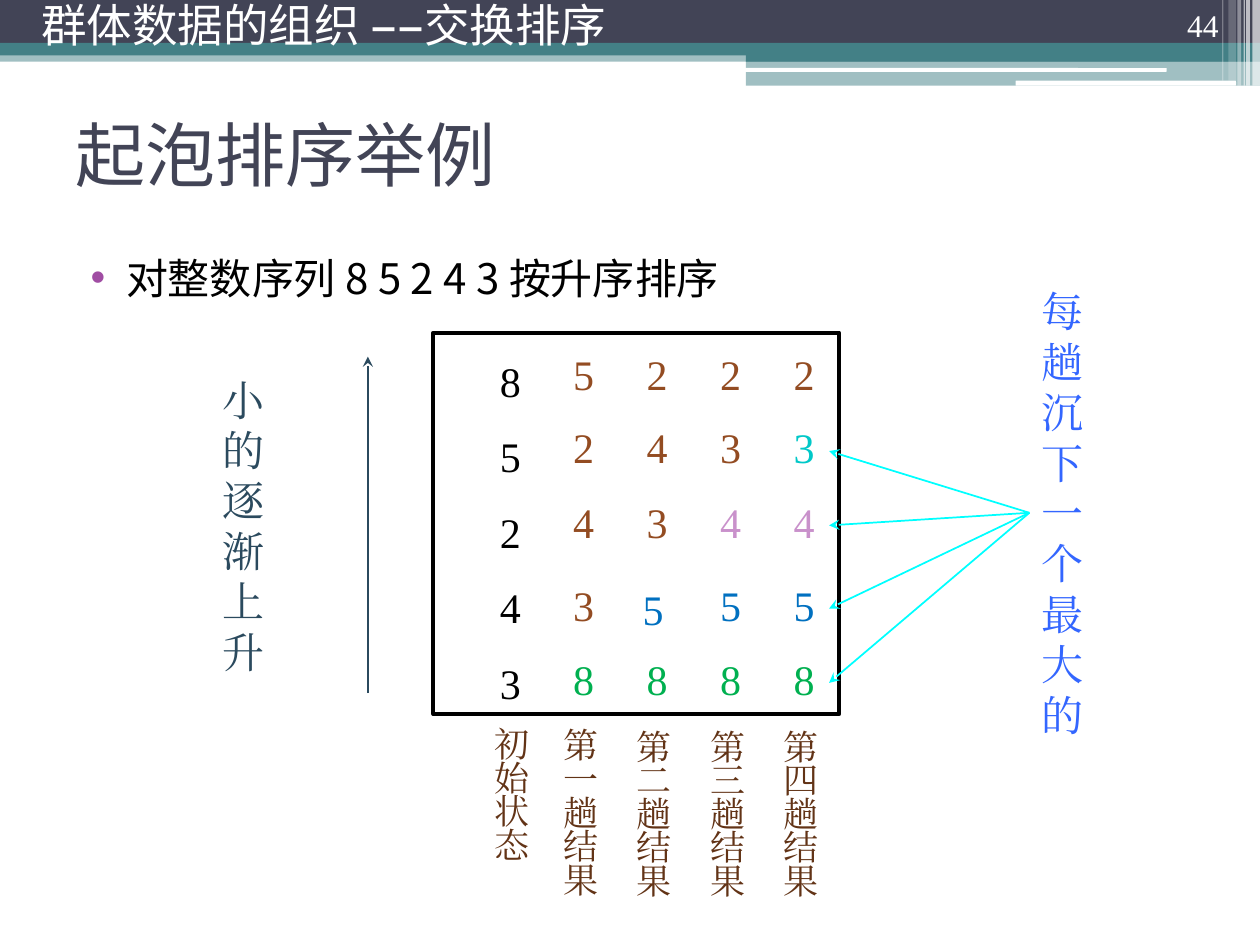
from lxml.etree import SubElement
from pptx import Presentation
from pptx.dml.color import RGBColor
from pptx.enum.shapes import MSO_CONNECTOR, MSO_SHAPE
from pptx.enum.text import MSO_ANCHOR, MSO_AUTO_SIZE, PP_ALIGN
from pptx.oxml.ns import qn
from pptx.util import Inches, Pt

SERIF = "Times New Roman"
SANS = "Noto Sans CJK SC"
DARK = "424456"
TEAL = "438086"
WHITE = "FFFFFF"
BLACK = "000000"
BROWN = "934C22"
UMBER = "623316"
SLATE = "2B4A5E"
CYAN = "00FFFF"


def color(value):
    return RGBColor.from_string(value)


def write(para, text, size=24, font=SERIF, fill=BLACK, align=PP_ALIGN.LEFT, spacing=1.0):
    para.alignment = align
    para.line_spacing = spacing
    para.space_before = Pt(0)
    span = para.add_run()
    span.text = text
    span.font.size = Pt(size)
    span.font.name = font
    span.font.color.rgb = color(fill)
    east = SubElement(span.font._element, qn("a:ea"))
    east.set("typeface", font)


class SortingSlide:
    def __init__(self, deck):
        self.page = deck.slides.add_slide(deck.slide_layouts[1])

    def place(self, shape, left, top, width, height):
        shape.left, shape.top = Inches(left), Inches(top)
        shape.width, shape.height = Inches(width), Inches(height)

    def band(self, left, top, width, height, fill, opacity=100, rounded=False):
        kind = MSO_SHAPE.ROUNDED_RECTANGLE if rounded else MSO_SHAPE.RECTANGLE
        shape = self.page.shapes.add_shape(
            kind, Inches(left), Inches(top), Inches(width), Inches(height))
        shape.shadow.inherit = False
        shape.line.fill.background()
        shape.fill.solid()
        shape.fill.fore_color.rgb = color(fill)
        if opacity < 100:
            tint = shape.fill._xPr.find(".//" + qn("a:srgbClr"))
            SubElement(tint, qn("a:alpha")).set("val", str(opacity * 1000))

    def frame(self, left, top, width, height):
        shape = self.page.shapes.add_shape(
            MSO_SHAPE.RECTANGLE, Inches(left), Inches(top), Inches(width), Inches(height))
        shape.shadow.inherit = False
        shape.fill.background()
        shape.line.color.rgb = color(BLACK)
        shape.line.width = Pt(2.25)

    def title(self, text):
        shape = self.page.shapes.title
        self.place(shape, 0.5, 0.63, 9, 1.17)
        shape.text_frame.vertical_anchor = MSO_ANCHOR.MIDDLE
        shape.text_frame.auto_size = MSO_AUTO_SIZE.NONE
        write(shape.text_frame.paragraphs[0], text, size=40, font=SANS, fill=DARK)

    def bullet(self, text):
        shape = self.page.placeholders[1]
        self.place(shape, 0.5, 1.95, 9, 5.24)
        shape.text_frame.auto_size = MSO_AUTO_SIZE.NONE
        para = shape.text_frame.paragraphs[0]
        props = para._p.get_or_add_pPr()
        props.set("marL", str(Inches(0.4)))
        props.set("indent", str(Inches(-0.28)))
        tint = SubElement(props, qn("a:buClr"))
        SubElement(tint, qn("a:srgbClr")).set("val", "A04DA3")
        SubElement(props, qn("a:buFont")).set("typeface", "Arial")
        SubElement(props, qn("a:buChar")).set("char", "•")
        write(para, text, font=SANS)
        para.space_after = Pt(12)

    def text(self, left, top, width, height, *lines, wrap=True, grow=True,
             anchor=MSO_ANCHOR.TOP, **style):
        box = self.page.shapes.add_textbox(
            Inches(left), Inches(top), Inches(width), Inches(height))
        frame = box.text_frame
        frame.word_wrap = wrap
        frame.auto_size = MSO_AUTO_SIZE.SHAPE_TO_FIT_TEXT if grow else MSO_AUTO_SIZE.NONE
        frame.vertical_anchor = anchor
        for index, line in enumerate(lines):
            para = frame.add_paragraph() if index else frame.paragraphs[0]
            write(para, line, **style)
        return box

    def arrow(self, start, end, stroke, head="headEnd", target=None):
        line = self.page.shapes.add_connector(
            MSO_CONNECTOR.STRAIGHT, *(Inches(value) for value in start + end))
        line.line.color.rgb = color(stroke)
        line.line.width = Pt(1)
        SubElement(line.line._get_or_add_ln(), qn("a:" + head)).set("type", "stealth")
        SubElement(line._element.spPr, qn("a:effectLst"))
        if target is not None:
            line.end_connect(target, 1)


def draw_theme(slide):
    slide.band(0, 0.4, 10, 0.09, TEAL, 50)
    slide.band(0, 0, 10, 0.34, DARK)
    slide.band(0, 0.34, 10, 0.1, TEAL)
    slide.band(5.92, 0.39, 4.08, 0.1, TEAL)
    slide.band(5.92, 0.48, 4.08, 0.2, TEAL, 50)
    slide.band(5.91, 0.54, 3.35, 0.03, WHITE, rounded=True)
    slide.band(8.06, 0.64, 1.75, 0.04, WHITE, rounded=True)
    stripes = [(9.94, 0.06, 0.68, 65), (9.89, 0.03, 0.68, 65), (9.87, 0.01, 0.68, 60),
               (9.82, 0.03, 0.68, 40), (9.75, 0.06, 0.64, 20), (9.7, 0.01, 0.64, 30)]
    for left, width, height, opacity in stripes:
        slide.band(left, 0, width, height, WHITE, opacity)


def draw_passes(slide):
    slide.text(3.87, 2.57, 0.37, 3.1, *"85243", wrap=False, spacing=1.5)
    row_tops = [2.72, 3.3, 3.89, 4.55, 5.14]
    sorted_colors = [BROWN, "00C8C8", "C991CB", "0070C0", "00B050"]
    nudges = {(1, 3): (-0.03, 0.03)}
    gap = 1.75 / 3
    for column, values in enumerate(["52438", "24358", "23458", "23458"]):
        for row, value in enumerate(values):
            shift, drop = nudges.get((column, row), (0, 0))
            fill = sorted_colors[row] if row >= 4 - column else BROWN
            slide.text(4.45 + column * gap + shift, row_tops[row] + drop, 0.37, 0.5,
                       value, wrap=False, fill=fill)
    slide.frame(3.44, 2.64, 3.22, 3.03)
    label = {"size": 20, "fill": UMBER, "spacing": 0.8}
    slide.text(3.83, 5.75, 0.42, 1.17, "初始状态", **label)
    for column, number in enumerate("一二三四"):
        top = 5.77 if column else 5.76
        slide.text(4.37 + column * gap, top, 0.42, 1.44, f"第{number}趟结果", **label)


def draw_notes(slide):
    slide.text(1.67, 2.92, 0.67, 2.5, "小的逐渐上升", fill=SLATE)
    slide.arrow((2.92, 5.5), (2.92, 2.83), SLATE, head="tailEnd")
    sinking = slide.text(8.17, 2.22, 0.58, 3.7, "每趟沉下一个最大的", fill="3366FF")
    for height in (5.42, 4.83, 4.17, 3.58):
        slide.arrow((6.58, height), (8.17, 4.08), CYAN, target=sinking)


def main():
    deck = Presentation()
    deck.slide_width, deck.slide_height = Inches(10), Inches(7.5)
    slide = SortingSlide(deck)
    draw_theme(slide)
    slide.title("起泡排序举例")
    slide.bullet("对整数序列 8 5 2 4 3 按升序排序")
    slide.text(8.94, 0, 0.83, 0.4, "44", grow=False, anchor=MSO_ANCHOR.BOTTOM,
               size=18, fill=WHITE, align=PP_ALIGN.RIGHT)
    slide.text(0.23, 0, 9.1, 0.47, "群体数据的组织 ——交换排序", grow=False,
               anchor=MSO_ANCHOR.MIDDLE, size=26, font="Cabin", fill=WHITE, spacing=0.8)
    draw_passes(slide)
    draw_notes(slide)
    deck.save("out.pptx")


if __name__ == "__main__":
    main()
